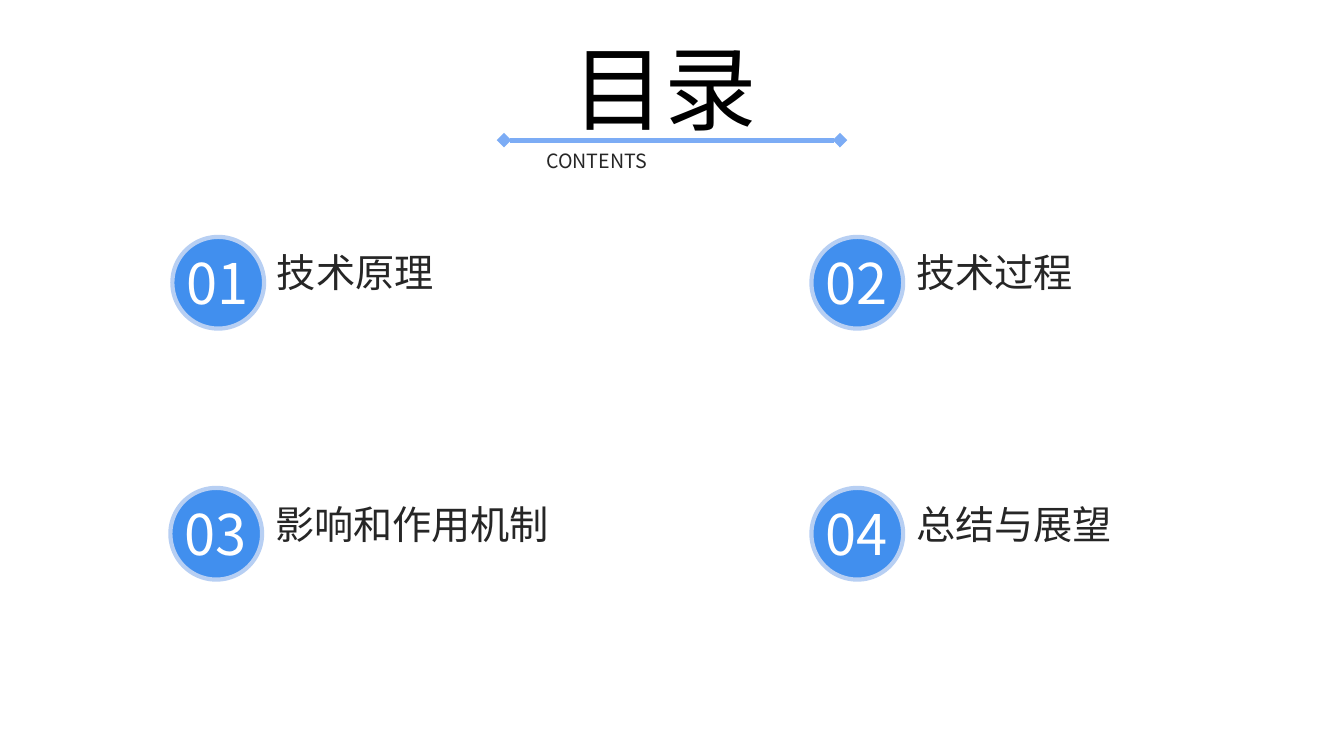
from dataclasses import dataclass

from pptx import Presentation
from pptx.dml.color import RGBColor
from pptx.enum.shapes import MSO_CONNECTOR, MSO_SHAPE
from pptx.enum.text import MSO_ANCHOR, MSO_AUTO_SIZE, PP_ALIGN
from pptx.oxml.ns import qn
from pptx.util import Pt
from lxml.etree import SubElement

FONT = "Noto Sans CJK JP"
BLACK, DARK, WHITE = "000000", "262626", "FFFFFF"
BLUE, PALE_BLUE, RULE_BLUE = "418FEE", "B7CFF3", "7CACF5"
CIRCLE_SIZE = 65.5


@dataclass
class Entry:
    number: str
    label: str
    left: float
    top: float


ENTRIES = [
    Entry("01", "技术原理", 123.1, 169.2),
    Entry("02", "技术过程", 579.6, 169.2),
    Entry("03", "影响和作用机制", 121.7, 348.5),
    Entry("04", "总结与展望", 579.6, 348.5),
]


def color(value: str) -> RGBColor:
    return RGBColor.from_string(value)


def write(shape, text: str, size: float, ink: str, align=PP_ALIGN.LEFT) -> None:
    frame = shape.text_frame
    frame.word_wrap = True
    frame.auto_size = MSO_AUTO_SIZE.SHAPE_TO_FIT_TEXT
    frame.vertical_anchor = MSO_ANCHOR.TOP
    paragraph = frame.paragraphs[0]
    paragraph.alignment = align
    run = paragraph.add_run()
    run.text = text
    run.font.size = Pt(size)
    run.font.name = FONT
    run.font.color.rgb = color(ink)
    SubElement(run.font._element, qn("a:ea"), typeface=FONT)


def place(shape, left: float, top: float, width: float, height: float) -> None:
    shape.left, shape.top = Pt(left), Pt(top)
    shape.width, shape.height = Pt(width), Pt(height)


def add_text(shapes, left: float, top: float, width: float, height: float,
             text: str, size: float, ink: str, align=PP_ALIGN.LEFT) -> None:
    box = shapes.add_textbox(Pt(left), Pt(top), Pt(width), Pt(height))
    write(box, text, size, ink, align)


def add_rule(slide, left: float, right: float, y: float) -> None:
    rule = slide.shapes.add_connector(MSO_CONNECTOR.STRAIGHT, Pt(left), Pt(y), Pt(right), Pt(y))
    rule.line.color.rgb = color(RULE_BLUE)
    rule.line.width = Pt(3.5)
    line = rule.line._get_or_add_ln()
    for end in ("a:headEnd", "a:tailEnd"):
        SubElement(line, qn(end), type="diamond")
    SubElement(rule._element.spPr, qn("a:effectLst"))


def add_entry(slide, entry: Entry) -> None:
    shapes = slide.shapes.add_group_shape().shapes
    circle = shapes.add_shape(MSO_SHAPE.OVAL, Pt(entry.left), Pt(entry.top),
                              Pt(CIRCLE_SIZE), Pt(CIRCLE_SIZE))
    circle.shadow.inherit = False
    circle.fill.solid()
    circle.fill.fore_color.rgb = color(BLUE)
    circle.line.color.rgb = color(PALE_BLUE)
    circle.line.width = Pt(3)
    text_top = entry.top + 5
    add_text(shapes, entry.left + 2.9, text_top, 87.8, 55.4, entry.number, 40, WHITE)
    add_text(shapes, entry.left + 67.7, text_top, 313.9, 41, entry.label, 28, DARK)


def main() -> None:
    presentation = Presentation()
    presentation.slide_width, presentation.slide_height = Pt(960), Pt(540)
    slide = presentation.slides.add_slide(presentation.slide_layouts[5])

    # Heading
    title = slide.shapes.title
    place(title, 401.8, 18.7, 156.2, 87.1)
    write(title, "目录", 66, BLACK, PP_ALIGN.JUSTIFY)
    add_rule(slide, 360, 600, 100.1)
    add_text(slide.shapes, 383, 103, 193.7, 24.5, "CONTENTS", 14, DARK, PP_ALIGN.JUSTIFY)

    # Contents entries
    for entry in ENTRIES:
        add_entry(slide, entry)

    presentation.save("out.pptx")


if __name__ == "__main__":
    main()
